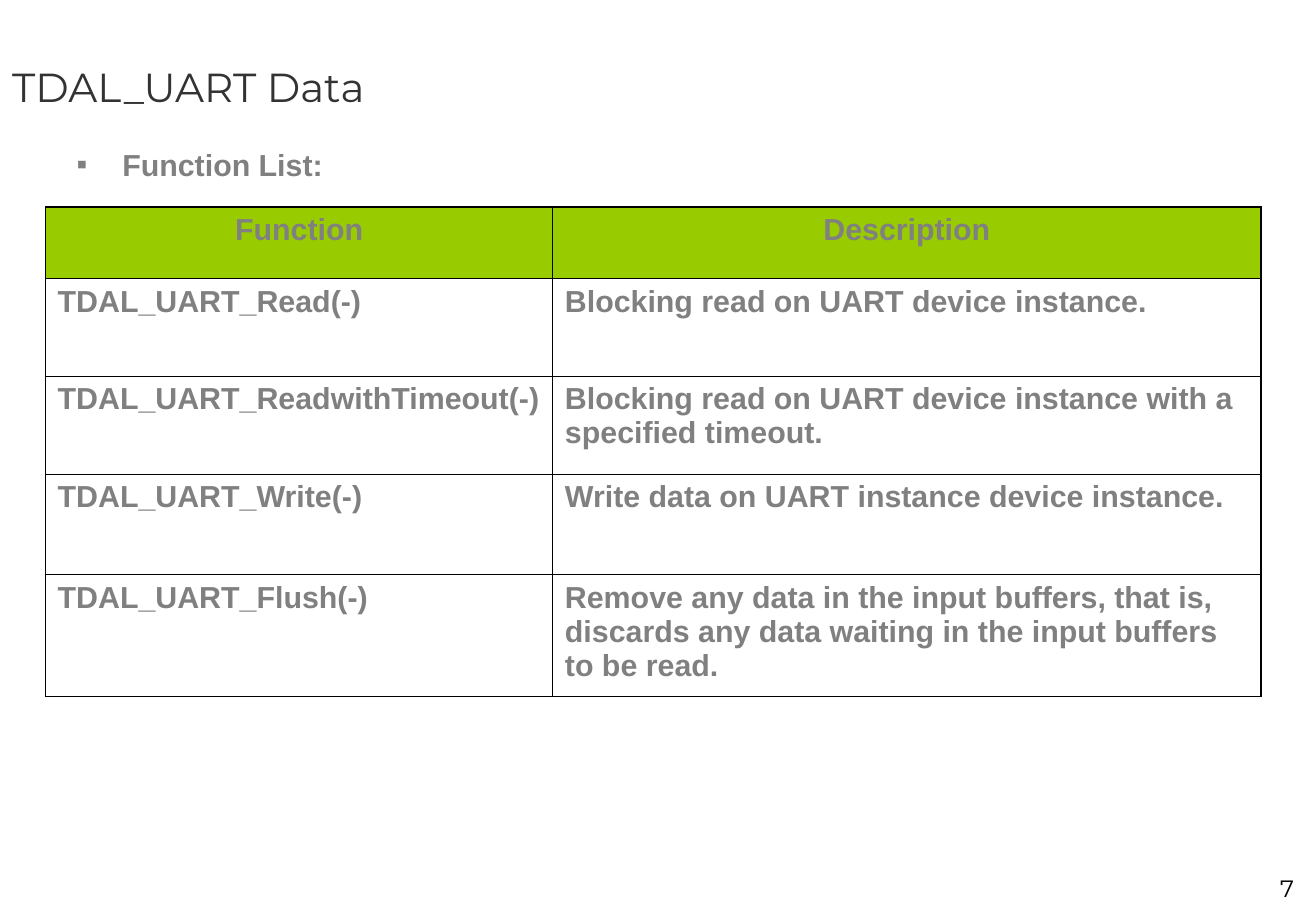
import lxml.etree
import pptx
import pptx.dml.color
import pptx.enum.text
import pptx.oxml.ns
import pptx.util

Pt = pptx.util.Pt
ALIGN = pptx.enum.text.PP_ALIGN
ANCHOR = pptx.enum.text.MSO_ANCHOR
GREY, BLACK, GREEN = "808080", "000000", "99CC00"
OUTER_LINE, INNER_LINE = 1.08, 0.45
COLUMN_WIDTHS = (300.7, 419.8)
ROW_HEIGHTS = (42.5, 57.7, 58.3, 59.5, 72.2)
FUNCTIONS = (
    ("Function", "Description"),
    ("TDAL_UART_Read(-)", "Blocking read on UART device instance."),
    ("TDAL_UART_ReadwithTimeout(-)",
     "Blocking read on UART device instance with a specified timeout."),
    ("TDAL_UART_Write(-)", "Write data on UART instance device instance."),
    ("TDAL_UART_Flush(-)",
     "Remove any data in the input buffers, that is, discards any data "
     "waiting in the input buffers to be read."),
)


def color(value):
    """Return the colour for a hex string."""
    return pptx.dml.color.RGBColor.from_string(value)


def add_child(parent, tag, **attributes):
    """Append a drawing element with the given attributes."""
    child = lxml.etree.SubElement(parent, pptx.oxml.ns.qn(tag))
    for name, value in attributes.items():
        child.set(name, str(value))
    return child


def write(frame, text, size=18, font="Arial", ink=GREY, bold=True,
          align=ALIGN.LEFT, before=4.5, anchor=ANCHOR.TOP):
    """Write one formatted run into a text frame and return its paragraph."""
    frame.word_wrap = True
    frame.vertical_anchor = anchor
    paragraph = frame.paragraphs[0]
    paragraph.alignment = align
    paragraph.space_before = Pt(before)
    run = paragraph.add_run()
    run.text = text
    run.font.size = Pt(size)
    run.font.name = font
    run.font.bold = bold
    run.font.color.rgb = color(ink)
    return paragraph


def place(shape, left, top, width, height):
    """Move a shape into a box and switch off text fitting."""
    shape.left, shape.top = Pt(left), Pt(top)
    shape.width, shape.height = Pt(width), Pt(height)
    shape.text_frame.auto_size = pptx.enum.text.MSO_AUTO_SIZE.NONE


def add_title(slide, left, top, width, height):
    """Fill the title placeholder."""
    title = slide.shapes.title
    place(title, left, top, width, height)
    write(title.text_frame, "TDAL_UART Data", 24, "Montserrat", "333333",
          False, before=0, anchor=ANCHOR.MIDDLE)


def add_list(slide, left, top, width, height):
    """Fill the body placeholder with its bulleted line."""
    body = slide.placeholders[1]
    place(body, left, top, width, height)
    paragraph = write(body.text_frame, "Function List:")
    properties = paragraph._p.get_or_add_pPr()
    properties.set("marL", str(Pt(27)))
    properties.set("indent", str(Pt(-27)))
    add_child(add_child(properties, "a:buClr"), "a:srgbClr", val=GREY)
    add_child(properties, "a:buFont", typeface="Arial")
    add_child(properties, "a:buChar", char="▪")


def set_borders(cell, row, column):
    """Draw thick lines on the table's edge and thin ones inside."""
    edges = {
        "a:lnL": column == 0,
        "a:lnR": column == len(COLUMN_WIDTHS) - 1,
        "a:lnT": row == 0,
        "a:lnB": row == len(ROW_HEIGHTS) - 1,
    }
    properties = cell._tc.get_or_add_tcPr()
    for tag, outer in edges.items():
        width = Pt(OUTER_LINE if outer else INNER_LINE)
        line = add_child(properties, tag, w=width)
        add_child(add_child(line, "a:solidFill"), "a:srgbClr", val=BLACK)


def add_function_table(slide, left, top):
    """Build the table of functions with its top left corner given."""
    table = slide.shapes.add_table(
        len(ROW_HEIGHTS), len(COLUMN_WIDTHS), Pt(left), Pt(top),
        Pt(sum(COLUMN_WIDTHS)), Pt(sum(ROW_HEIGHTS))).table
    table.first_row = table.horz_banding = False
    for column, width in zip(table.columns, COLUMN_WIDTHS):
        column.width = Pt(width)
    for row, height in zip(table.rows, ROW_HEIGHTS):
        row.height = Pt(height)
    for row, texts in enumerate(FUNCTIONS):
        for column, text in enumerate(texts):
            cell = table.cell(row, column)
            set_borders(cell, row, column)
            if row == 0:
                cell.fill.solid()
                cell.fill.fore_color.rgb = color(GREEN)
            else:
                cell.fill.background()
            write(cell.text_frame, text,
                  align=ALIGN.LEFT if row else ALIGN.CENTER)


def add_page_number(slide, left, top, width, height):
    """Add the page number at the right of its box."""
    box = slide.shapes.add_textbox(Pt(left), Pt(top), Pt(width), Pt(height))
    write(box.text_frame, "7", 14, "Montserrat", BLACK, False,
          ALIGN.RIGHT, before=0)


def main():
    """Build and save the slide."""
    presentation = pptx.Presentation()
    presentation.slide_width = Pt(780.13)
    presentation.slide_height = Pt(540)
    slide = presentation.slides.add_slide(presentation.slide_layouts[1])
    add_title(slide, 0, 0, 780, 102)
    add_list(slide, 38.3, 83, 713.5, 356.5)
    add_function_table(slide, 27, 122.7)
    add_page_number(slide, 690.7, 514.3, 83.5, 24)
    presentation.save("out.pptx")


if __name__ == "__main__":
    main()
